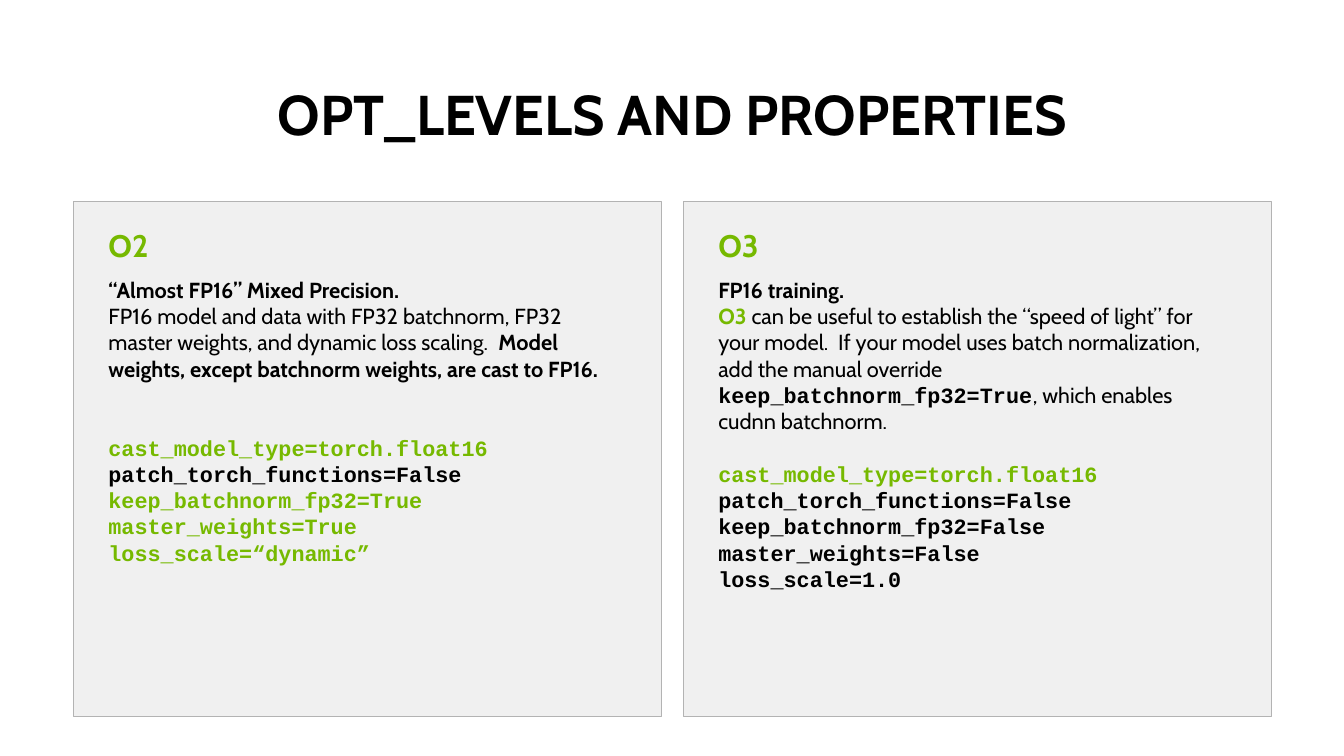
from pptx import Presentation
from pptx import util as u
from pptx.dml.color import RGBColor
from pptx.enum import shapes, text

BLACK = RGBColor(0x00, 0x00, 0x00)
GREEN = RGBColor(0x76, 0xB9, 0x00)
PANEL = RGBColor(0xF0, 0xF0, 0xF0)
BORDER = RGBColor(0xB3, 0xB3, 0xB3)
SANS, MONO = "Cabin", "Courier New"
COLUMNS, ROWS = 120, 67.5
LINE = u.Pt(16.9)


def plain(words):
    return words, SANS, BLACK, False


def bold(words, color=BLACK):
    return words, SANS, color, True


def code(words, color=BLACK):
    return words, MONO, color, True


class Deck:
    """Holds the style and the current slide; places are in grid columns and rows."""

    def __init__(self, presentation):
        self.column = presentation.slide_width / COLUMNS
        self.row = presentation.slide_height / ROWS
        self.slide = presentation.slides.add_slide(presentation.slide_layouts[6])

    def place(self, left, top, width, height):
        return (round(left * self.column), round(top * self.row),
                round(width * self.column), round(height * self.row))

    def panel(self, *box):
        shape = self.slide.shapes.add_shape(shapes.MSO_SHAPE.RECTANGLE, *self.place(*box))
        shape.shadow.inherit = False
        shape.fill.solid()
        shape.fill.fore_color.rgb = PANEL
        shape.line.color.rgb = BORDER
        shape.line.width = u.Pt(0.75)

    def frame(self, box, anchor):
        frame = self.slide.shapes.add_textbox(*self.place(*box)).text_frame
        frame.word_wrap = True
        frame.vertical_anchor = anchor
        return frame

    def run(self, paragraph, piece, size):
        """Adds one styled piece; each newline in it becomes a line break."""
        words, font, color, heavy = piece
        for index, line in enumerate(words.split("\n")):
            if index:
                paragraph.add_line_break()
            if line:
                run = paragraph.add_run()
                run.text = line
                run.font.name, run.font.size = font, u.Pt(size)
                run.font.bold = heavy
                run.font.color.rgb = color

    def heading(self, box, words, size, color, align=text.PP_ALIGN.LEFT):
        paragraph = self.frame(box, text.MSO_ANCHOR.BOTTOM).paragraphs[0]
        paragraph.alignment = align
        paragraph.line_spacing = 0.9
        self.run(paragraph, bold(words, color), size)

    def body(self, box, paragraphs):
        """Each paragraph is (lines of space before, pieces)."""
        frame = self.frame(box, text.MSO_ANCHOR.TOP)
        for index, (gap, pieces) in enumerate(paragraphs):
            paragraph = frame.add_paragraph() if index else frame.paragraphs[0]
            paragraph.line_spacing = LINE
            if gap:
                paragraph.space_before = gap * LINE
            for piece in pieces:
                self.run(paragraph, piece, 14)


LEVELS = [
    ("O2", [
        (0, [bold("“Almost FP16” Mixed Precision.\n"),
             plain("FP16 model and data with FP32 batchnorm, FP32 master weights, "
                   "and dynamic loss scaling.  "),
             bold("Model weights, except batchnorm weights, are cast to FP16.")]),
        (2, [code("cast_model_type=torch.float16\n", GREEN),
             code("patch_torch_functions=False\n"),
             code("keep_batchnorm_fp32=True\nmaster_weights=True\n"
                  "loss_scale=“dynamic”", GREEN)]),
    ]),
    ("O3", [
        (0, [bold("FP16 training.")]),
        (0, [bold("O3", GREEN),
             plain(" can be useful to establish the “speed of light” for your model.  "
                   "If your model uses batch normalization, add the manual override "),
             code("keep_batchnorm_fp32=True"),
             plain(", which enables cudnn batchnorm.")]),
        (1, [code("cast_model_type=torch.float16\n", GREEN),
             code("patch_torch_functions=False\nkeep_batchnorm_fp32=False\n"
                  "master_weights=False\nloss_scale=1.0")]),
    ]),
]


def main():
    presentation = Presentation()
    presentation.slide_width, presentation.slide_height = u.Inches(12), u.Inches(6.75)
    deck = Deck(presentation)
    deck.heading((5.5, 7.2, 109.1, 6.5), "OPT_LEVELS AND PROPERTIES", 36, BLACK,
                 text.PP_ALIGN.CENTER)
    for index, (name, paragraphs) in enumerate(LEVELS):
        left = 6.6 + index * 54.45
        inner = left + 2.1
        deck.panel(left, 18, 52.45, 46)
        deck.heading((inner, 20.1, 46.6, 4), name, 20, GREEN)
        deck.body((inner, 24.2, 46.6, 29.3), paragraphs)
    presentation.save("out.pptx")


if __name__ == "__main__":
    main()
